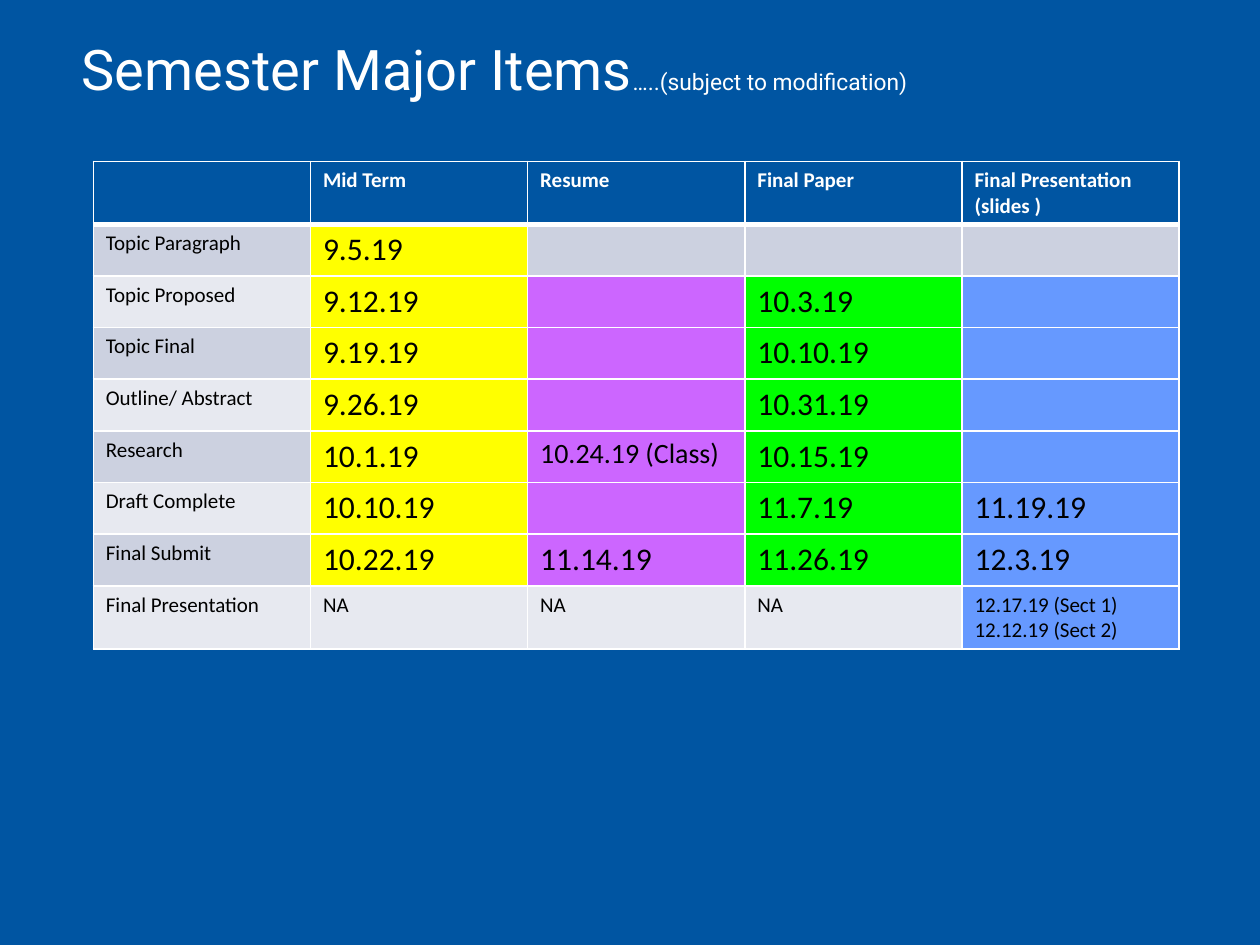
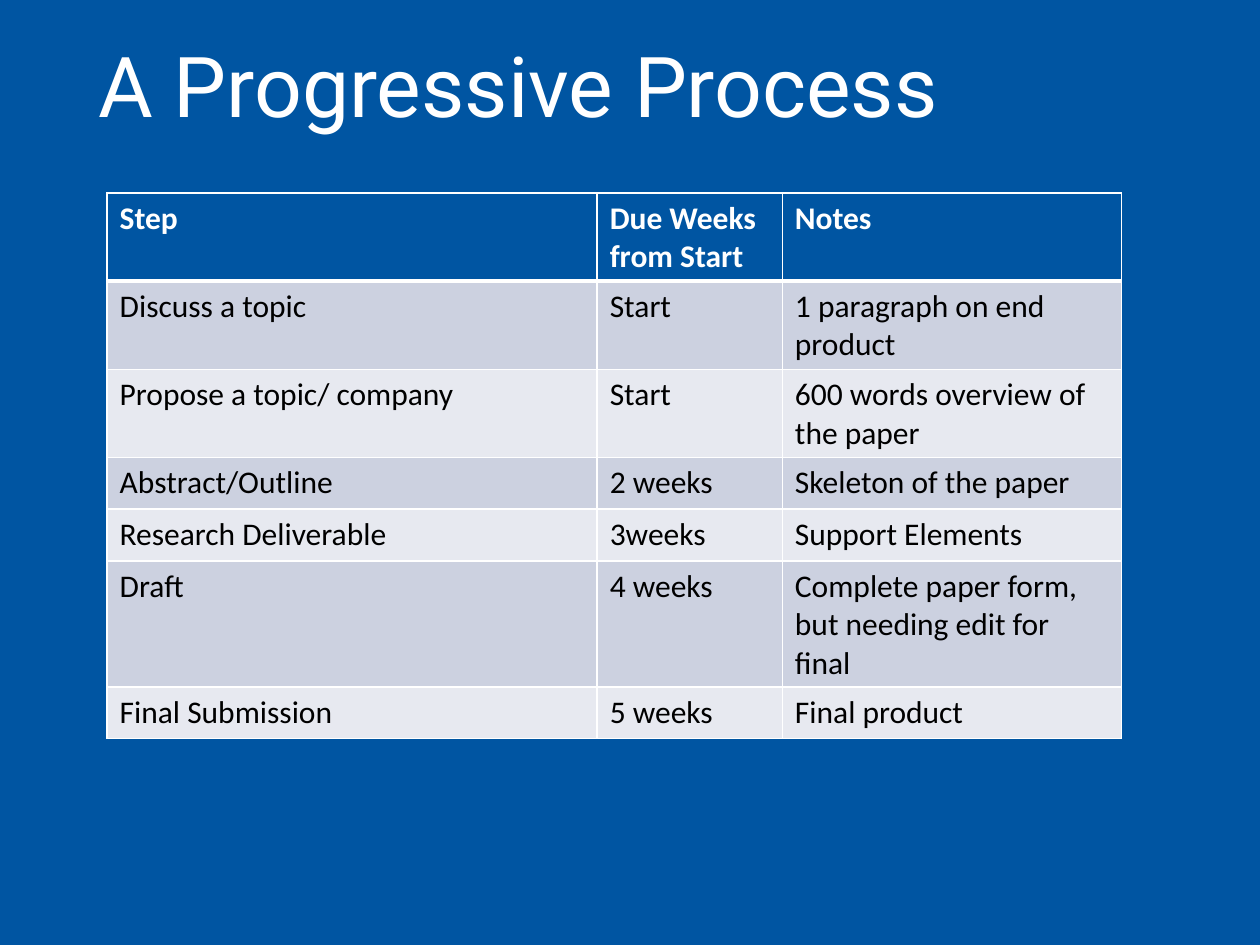
from lxml import etree
from pptx import Presentation
from pptx.dml.color import RGBColor
from pptx.enum import text as text_enum
from pptx.oxml import ns
from pptx.util import Inches, Pt

BLUE = RGBColor(0x00, 0x55, 0xA2)
WHITE = RGBColor(0xFF, 0xFF, 0xFF)
BLACK = RGBColor(0x00, 0x00, 0x00)
BANDS = (RGBColor(0xCC, 0xD1, 0xE0), RGBColor(0xE7, 0xE9, 0xF0))
YELLOW = RGBColor(0xFF, 0xFF, 0x00)
PURPLE = RGBColor(0xCC, 0x66, 0xFF)
GREEN = RGBColor(0x00, 0xFF, 0x00)
LIGHT_BLUE = RGBColor(0x66, 0x99, 0xFF)

TITLE_FONT = "Roboto"
BODY_FONT = "Calibri"
ROW_HEIGHT = 0.41

SEMESTER_ITEMS = [
    ["", "Mid Term", "Resume", "Final Paper", "Final Presentation (slides )"],
    ["Topic Paragraph", "9.5.19", "", "", ""],
    ["Topic Proposed", "9.12.19", "", "10.3.19", ""],
    ["Topic Final", "9.19.19", "", "10.10.19", ""],
    ["Outline/ Abstract", "9.26.19", "", "10.31.19", ""],
    ["Research", "10.1.19", "10.24.19 (Class)", "10.15.19", ""],
    ["Draft Complete", "10.10.19", "", "11.7.19", "11.19.19"],
    ["Final Submit", "10.22.19", "11.14.19", "11.26.19", "12.3.19"],
    ["Final Presentation", "NA", "NA", "NA", "12.17.19 (Sect 1)\n12.12.19 (Sect 2)"],
]
# Column: colour, first and last coloured row
DEADLINE_COLORS = {
    1: (YELLOW, 1, 7),
    2: (PURPLE, 2, 7),
    3: (GREEN, 2, 7),
    4: (LIGHT_BLUE, 2, 8),
}

PROCESS_STEPS = [
    ["Step", "Due Weeks from Start", "Notes"],
    ["Discuss a topic", "Start", "1 paragraph on end product"],
    ["Propose a topic/ company", "Start", "600 words overview of the paper"],
    ["Abstract/Outline", "2 weeks", "Skeleton of the paper"],
    ["Research Deliverable", "3weeks", "Support Elements"],
    ["Draft", "4 weeks", "Complete paper form, but needing edit for final"],
    ["Final Submission", "5 weeks", "Final product"],
]


def add_text(paragraph, text, size=18, color=BLACK, bold=False, font=BODY_FONT):
    run = paragraph.add_run()
    run.text = text
    run.font.name = font
    run.font.size = Pt(size)
    run.font.bold = bold
    run.font.color.rgb = color


def add_slide(presentation):
    slide = presentation.slides.add_slide(presentation.slide_layouts[6])
    slide.background.fill.solid()
    slide.background.fill.fore_color.rgb = BLUE
    return slide


def add_title(slide, left, top, *parts):
    """Add a title line from (text, size) parts."""
    box = slide.shapes.add_textbox(Inches(left), Inches(top), Inches(8.62), Inches(0.97))
    frame = box.text_frame
    frame.word_wrap = True
    frame.vertical_anchor = text_enum.MSO_ANCHOR.MIDDLE
    paragraph = frame.paragraphs[0]
    paragraph.line_spacing = 0.9
    for text, size in parts:
        add_text(paragraph, text, size=size, color=WHITE, font=TITLE_FONT)


def set_borders(cell, top=1, bottom=1):
    """Draw white borders; widths are in points."""
    properties = cell._tc.get_or_add_tcPr()
    widths = {"lnL": 1, "lnR": 1, "lnT": top, "lnB": bottom}
    for index, (side, width) in enumerate(widths.items()):
        line = etree.Element(ns.qn(f"a:{side}"), w=str(Pt(width)))
        fill = etree.SubElement(line, ns.qn("a:solidFill"))
        etree.SubElement(fill, ns.qn("a:srgbClr"), val=str(WHITE))
        properties.insert(index, line)


def fill_cell(cell, text, fill, **text_format):
    cell.fill.solid()
    cell.fill.fore_color.rgb = fill
    frame = cell.text_frame
    for index, line in enumerate(text.split("\n")):
        paragraph = frame.add_paragraph() if index else frame.paragraphs[0]
        if line:
            add_text(paragraph, line, **text_format)


def band_color(row, column):
    return BANDS[(row - 1) % 2]


def deadline_color(row, column):
    if column in DEADLINE_COLORS:
        color, first, last = DEADLINE_COLORS[column]
        if first <= row <= last:
            return color
    return band_color(row, column)


def deadline_size(row, column):
    if column == 0 or row in (0, len(SEMESTER_ITEMS) - 1):
        return 12
    return 16 if "Class" in SEMESTER_ITEMS[row][column] else 18


def process_size(row, column):
    return 18


def add_table(slide, left, top, widths, rows, color_of, size_of):
    """Add a table whose body fill and text size follow from row and column."""
    frame = slide.shapes.add_table(
        len(rows), len(widths), Inches(left), Inches(top),
        Inches(sum(widths)), Inches(ROW_HEIGHT * len(rows)),
    )
    table = frame.table
    table.horz_banding = False
    for column, width in zip(table.columns, widths):
        column.width = Inches(width)
    for row, texts in enumerate(rows):
        table.rows[row].height = Inches(ROW_HEIGHT)
        for column, text in enumerate(texts):
            cell = table.cell(row, column)
            header = row == 0
            fill_cell(
                cell, text, BLUE if header else color_of(row, column),
                size=size_of(row, column), color=WHITE if header else BLACK, bold=header,
            )
            set_borders(cell, top=3 if row == 1 else 1, bottom=3 if header else 1)


def main():
    presentation = Presentation()
    presentation.slide_width = Inches(10)
    presentation.slide_height = Inches(7.5)

    slide = add_slide(presentation)
    add_title(slide, 0.55, 0.09, ("Semester Major Items", 32), ("…..(subject to modification)", 13))
    add_table(slide, 0.74, 1.28, [8.62 / 5] * 5, SEMESTER_ITEMS, deadline_color, deadline_size)

    slide = add_slide(presentation)
    add_title(slide, 0.68, 0.23, ("A Progressive Process", 48))
    add_table(slide, 0.85, 1.53, [3.89, 1.47, 2.69], PROCESS_STEPS, band_color, process_size)

    presentation.save("out.pptx")


if __name__ == "__main__":
    main()
